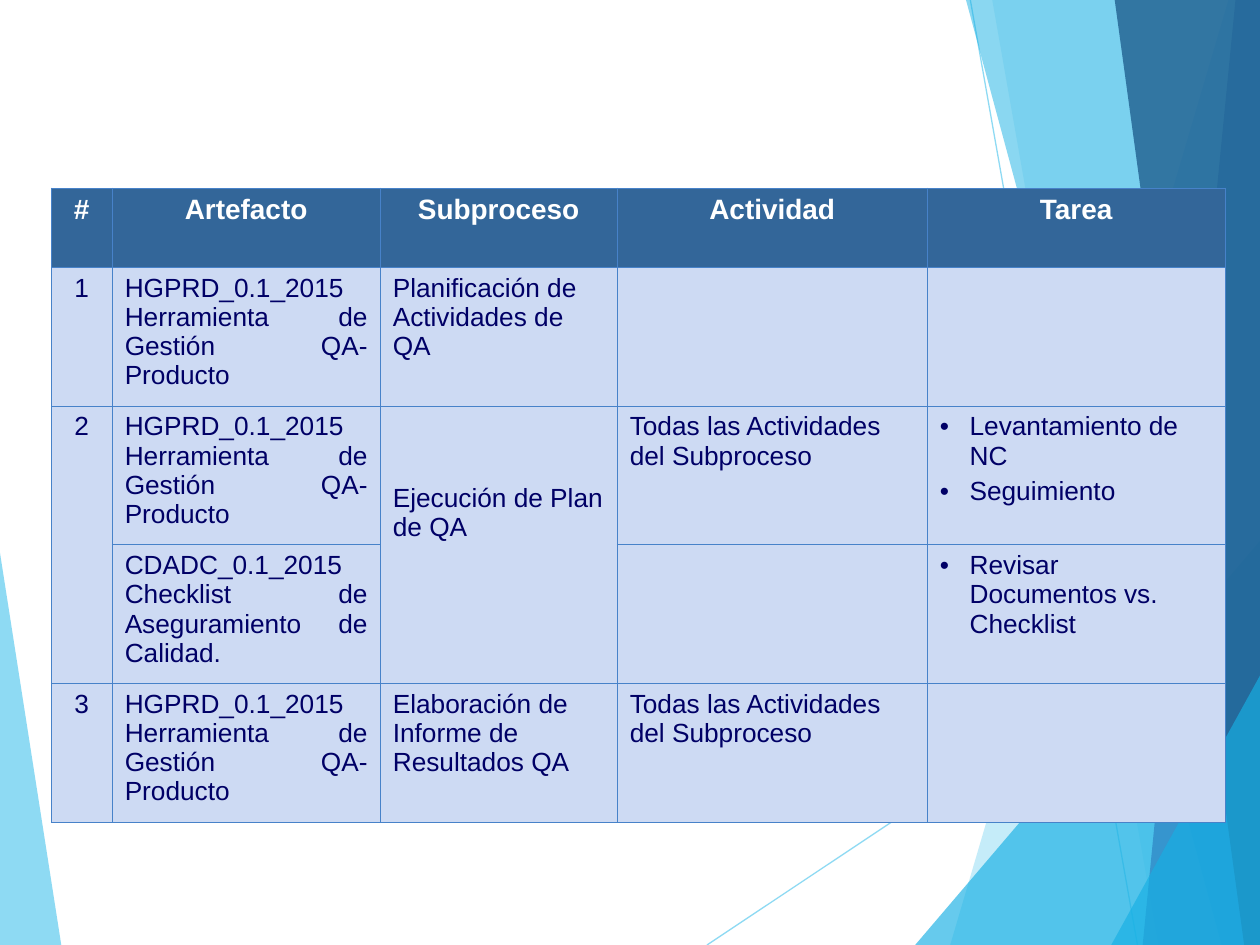
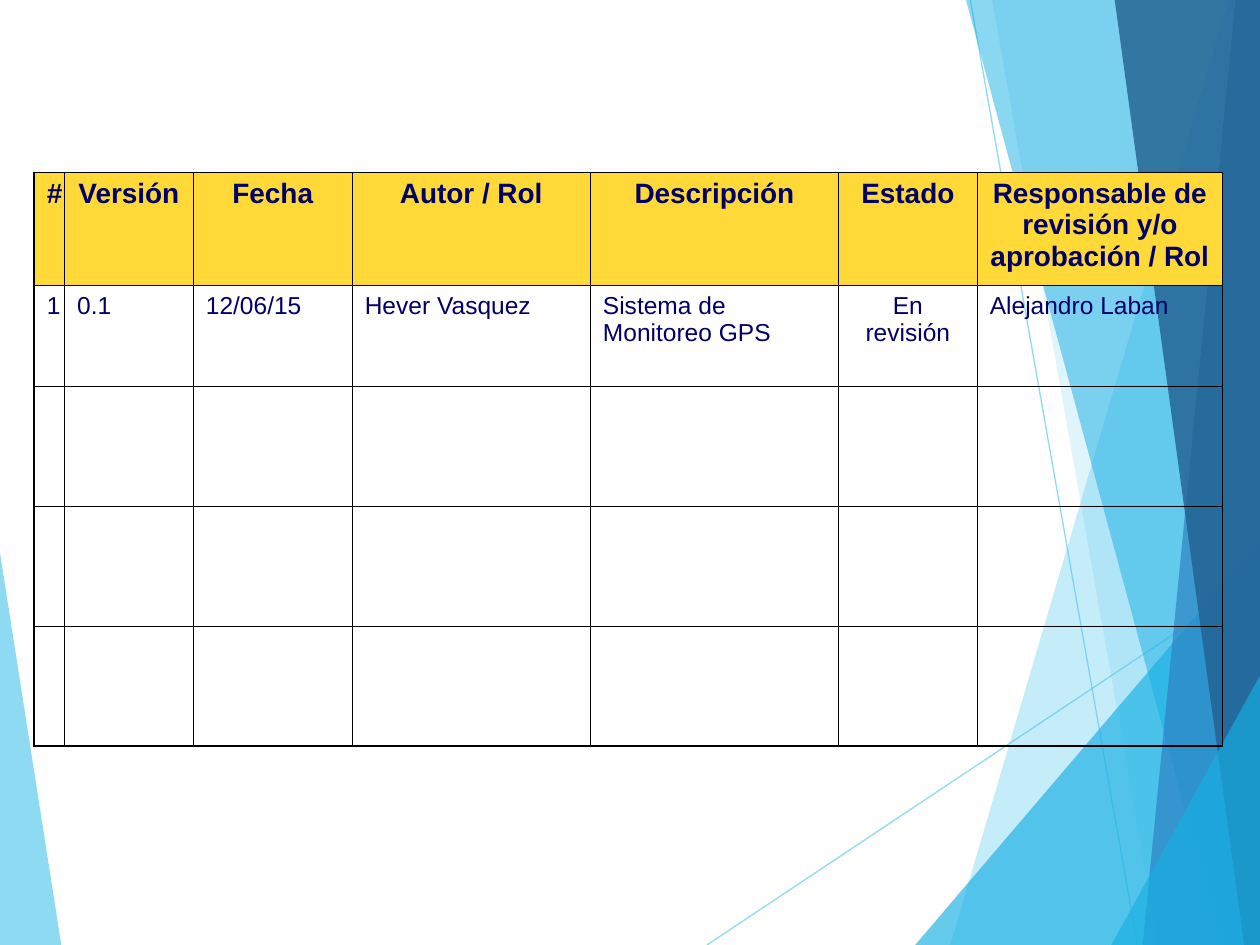
"""Build two slides of quality assurance tables over a faceted blue backdrop."""
from lxml.etree import SubElement
from pptx import Presentation
from pptx.dml.color import RGBColor
from pptx.enum.shapes import MSO_CONNECTOR
from pptx.enum.text import PP_ALIGN
from pptx.oxml.ns import qn
from pptx.util import Pt

WIDTH, HEIGHT = 720, 540
FONT = "Arial"
SKY = RGBColor(0x5F, 0xCB, 0xEF)
CYAN = RGBColor(0x17, 0xB0, 0xE4)
BLUE = RGBColor(0x2E, 0x83, 0xC3)
DEEP = RGBColor(0x23, 0x62, 0x92)
WHITE = RGBColor(0xFF, 0xFF, 0xFF)
BLACK = RGBColor(0x00, 0x00, 0x00)
INK = RGBColor(0x00, 0x00, 0x66)
STEEL = RGBColor(0x33, 0x66, 0x99)
PALE = RGBColor(0xCD, 0xDA, 0xF3)
RULE = RGBColor(0x47, 0x82, 0xC9)
YELLOW = RGBColor(0xFF, 0xD9, 0x37)

LEFT, CENTER, JUSTIFY = PP_ALIGN.LEFT, PP_ALIGN.CENTER, PP_ALIGN.JUSTIFY


def set_alpha(element, percent):
    """Make the solid colour found in an element partly transparent."""
    color = next(element.iter(qn("a:srgbClr")))
    SubElement(color, qn("a:alpha")).set("val", str(percent * 1000))


def add_facet(slide, left, top, corners, color, alpha):
    """Draw one translucent polygon with corners relative to left and top."""
    builder = slide.shapes.build_freeform(*corners[0], scale=Pt(1))
    builder.add_line_segments(corners[1:], close=True)
    facet = builder.convert_to_shape(Pt(left), Pt(top))
    facet.shadow.inherit = False
    facet.fill.solid()
    facet.fill.fore_color.rgb = color
    facet.line.fill.background()
    set_alpha(facet.fill._xPr.find(qn("a:solidFill")), alpha)


def add_ray(slide, left, top, start, end):
    """Draw one thin translucent line relative to left and top."""
    ray = slide.shapes.add_connector(
        MSO_CONNECTOR.STRAIGHT,
        Pt(left + start[0]), Pt(top + start[1]), Pt(left + end[0]), Pt(top + end[1]))
    ray.line.color.rgb = SKY
    ray.line.width = Pt(0.75)
    set_alpha(ray.line._ln, 70)
    SubElement(ray._element.spPr, qn("a:effectLst"))


def add_backdrop(slide, left, top, width, height):
    """Draw the facets and rays shared by all slides inside a box."""
    def band(top_x, bottom_x):
        return [(top_x, 0), (bottom_x, height), (width, height), (width, 0)]

    def wedge(edge_x, tip_x, tip_y):
        return [(edge_x, height), (tip_x, tip_y), (tip_x, height)]

    add_facet(slide, left, top, wedge(35, 0, 316), SKY, 70)
    add_ray(slide, left, top, (404, height), (width, 329.5))
    add_ray(slide, left, top, (554.5, 0), (650, height))
    for corners, color, alpha in (
        (band(702, 543), SKY, 36),
        (band(567, 662), SKY, 20),
        (wedge(523, width, 309), CYAN, 66),
        (band(552, 698), CYAN, 50),
        (band(706, 653), BLUE, 70),
        (band(637, 711), DEEP, 82),
        (wedge(635, width, 386), CYAN, 66),
    ):
        add_facet(slide, left, top, corners, color, alpha)


def set_borders(cell, color, widths):
    """Set the left, right, top and bottom borders of a cell."""
    properties = cell._tc.get_or_add_tcPr()
    for side, width in zip("LRTB", widths):
        border = SubElement(properties, qn(f"a:ln{side}"), w=str(Pt(width)))
        fill = SubElement(border, qn("a:solidFill"))
        SubElement(fill, qn("a:srgbClr"), val=str(color))


def add_bullet(paragraph):
    """Give a paragraph a hanging round bullet."""
    properties = paragraph._p.get_or_add_pPr()
    properties.set("marL", str(Pt(17)))
    properties.set("indent", str(-Pt(17)))
    color = SubElement(properties, qn("a:buClr"))
    SubElement(color, qn("a:srgbClr"), val=str(INK))
    SubElement(properties, qn("a:buFont"), typeface=FONT)
    SubElement(properties, qn("a:buChar"), char="•")


def write_cell(cell, content, size, color, align, bold=False):
    """Write a string, or a list of bulleted strings, into a cell."""
    bulleted = isinstance(content, list)
    for index, line in enumerate(content if bulleted else [content]):
        frame = cell.text_frame
        paragraph = frame.add_paragraph() if index else frame.paragraphs[0]
        paragraph.alignment = align
        if index:
            paragraph.space_before = Pt(3.7)
        if bulleted:
            add_bullet(paragraph)
        run = paragraph.add_run()
        run.text = line
        run.font.name = FONT
        run.font.size = Pt(size)
        run.font.bold = bold
        run.font.color.rgb = color


def add_grid(slide, left, top, columns, heights, rows, aligns, body_size,
             head_fill, head_color, body_fill, rule, outer):
    """Add a ruled table with a bold header row and return it."""
    frame = slide.shapes.add_table(len(heights), len(columns), Pt(left), Pt(top),
                                   Pt(sum(columns)), Pt(sum(heights)))
    grid = frame.table
    grid.first_row = grid.horz_banding = False
    for column, width in zip(grid.columns, columns):
        column.width = Pt(width)
    last_row, last_column = len(heights) - 1, len(columns) - 1
    for r, height in enumerate(heights):
        grid.rows[r].height = Pt(height)
        for c in range(len(columns)):
            cell = grid.cell(r, c)
            edges = (c == 0, c == last_column, r == 0, r == last_row)
            set_borders(cell, rule, [outer if edge else 0.45 for edge in edges])
            fill = body_fill if r else head_fill
            if fill is None:
                cell.fill.background()
            else:
                cell.fill.solid()
                cell.fill.fore_color.rgb = fill
            content = rows[r][c] if r < len(rows) else ""
            if not content:
                continue
            if r:
                write_cell(cell, content, body_size, INK, aligns[c])
            else:
                write_cell(cell, content, 16, head_color, CENTER, bold=True)
    return grid


def add_artifacts(slide, left, top):
    """Add the table that maps artifacts to subprocesses and tasks."""
    tool = "HGPRD_0.1_2015 Herramienta de Gestión QA-Producto"
    checklist = "CDADC_0.1_2015 Checklist de Aseguramiento de Calidad."
    every_activity = "Todas las Actividades del Subproceso"
    rows = [
        ("#", "Artefacto", "Subproceso", "Actividad", "Tarea"),
        ("1", tool, "Planificación de Actividades de QA", "", ""),
        ("2", tool, "Ejecución de Plan de QA", every_activity,
         ["Levantamiento de NC", "Seguimiento"]),
        ("", checklist, "", "", ["Revisar Documentos vs. Checklist"]),
        ("3", tool, "Elaboración de Informe de Resultados QA", every_activity, ""),
    ]
    grid = add_grid(
        slide, left, top, [34.8, 153.2, 135.4, 177.2, 170.2], [45.3] + [79.3] * 4, rows,
        [CENTER, JUSTIFY, LEFT, LEFT, LEFT], 15, STEEL, WHITE, PALE, RULE, 0.45)
    for column in (0, 2):
        grid.cell(2, column).merge(grid.cell(3, column))
    grid.cell(2, 2).margin_top = Pt(44.3)


def add_versions(slide, left, top):
    """Add the version history table with its empty rows."""
    rows = [
        ("#", "Versión", "Fecha", "Autor / Rol", "Descripción", "Estado",
         "Responsable de revisión y/o aprobación / Rol"),
        ("1", "0.1", "12/06/15", "Hever Vasquez", "Sistema de Monitoreo GPS",
         "En revisión", "Alejandro Laban"),
    ]
    add_grid(
        slide, left, top, [17.3, 73.6, 90.8, 136.1, 141.8, 79.3, 140.2],
        [64.8, 57.6] + [68.5] * 3, rows,
        [CENTER, LEFT, LEFT, LEFT, LEFT, CENTER, LEFT], 14, YELLOW, INK, None, BLACK, 1.08)


def main():
    """Build both slides and save the deck."""
    deck = Presentation()
    deck.slide_width, deck.slide_height = Pt(WIDTH), Pt(HEIGHT)
    for add_content, left, top in ((add_artifacts, 29.3, 107.4), (add_versions, 19.6, 98.5)):
        slide = deck.slides.add_slide(deck.slide_layouts[6])
        add_backdrop(slide, 0, 0, WIDTH, HEIGHT)
        add_content(slide, left, top)
    deck.save("out.pptx")


if __name__ == "__main__":
    main()
